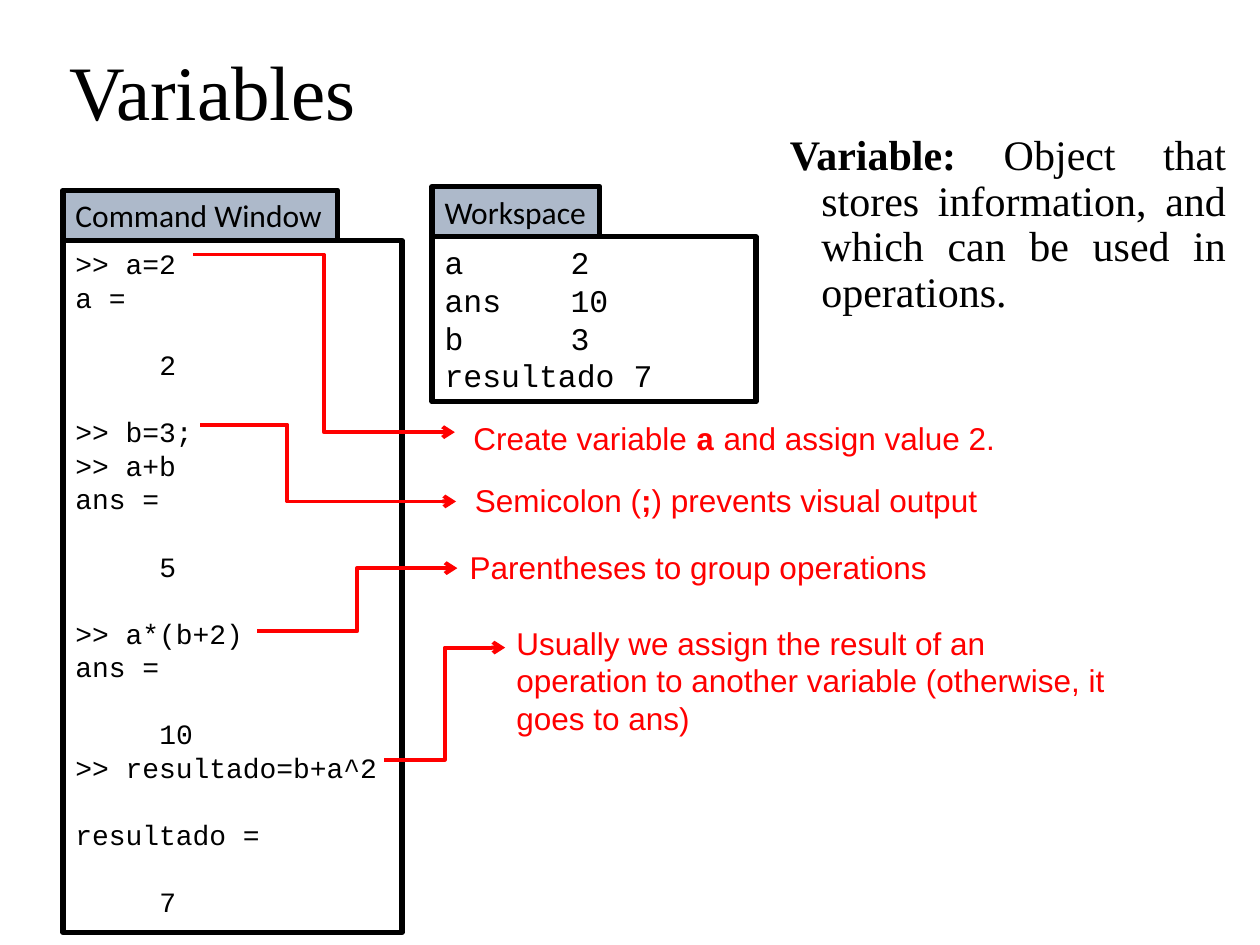
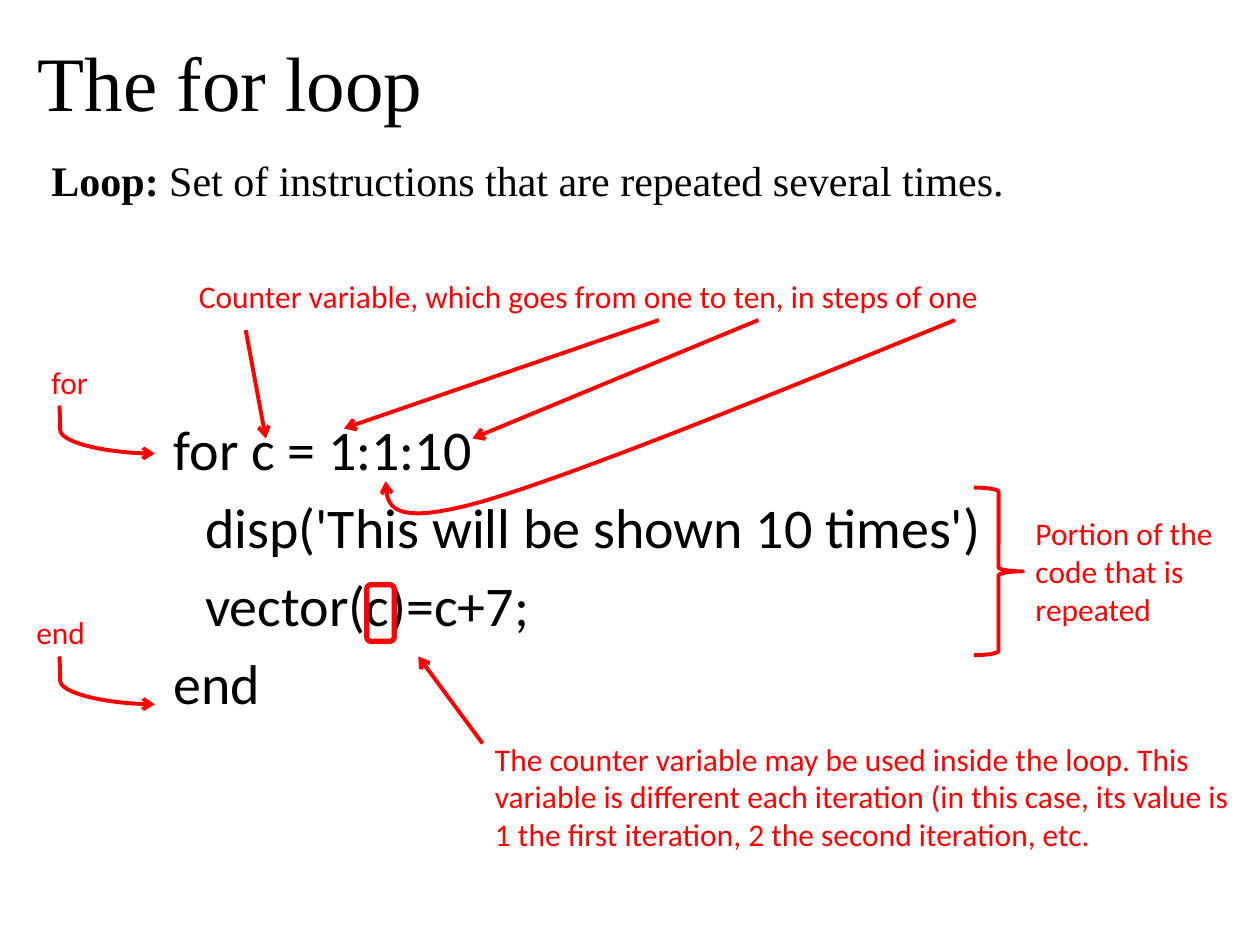
from dataclasses import dataclass
from typing import NamedTuple, Optional

from lxml import etree
from pptx import Presentation
from pptx import util as u
from pptx.dml.color import RGBColor
from pptx.enum import shapes, text
from pptx.oxml import ns

BLACK = RGBColor(0, 0, 0)
RED = RGBColor(255, 0, 0)
TAB_BLUE = RGBColor(0xAD, 0xB9, 0xCA)
SERIF, SANS, PLAIN, MONO = "Times New Roman", "Calibri", "Arial", "Courier New"
LEADING = 1.2
MONO_ADVANCE = 0.6
TAB_STEP = 0.5


class Box(NamedTuple):
    left: float
    top: float
    width: float
    height: float

    def lengths(self):
        return [u.Inches(value) for value in self]


class Span(NamedTuple):
    text: str
    bold: bool = False
    font: Optional[str] = None


@dataclass
class Line:
    """One paragraph: gap counts blank lines above it, columns its indent."""
    spans: list
    gap: int = 0
    columns: int = 0


@dataclass
class Style:
    font: str
    size: float
    color: RGBColor = BLACK
    spacing: object = None
    before: float = 0
    hanging: float = 0
    align: object = text.PP_ALIGN.LEFT
    anchor: object = text.MSO_ANCHOR.TOP
    tabs: int = 0


@dataclass
class Arrow:
    start: tuple
    end: tuple
    kind: object = shapes.MSO_CONNECTOR.STRAIGHT
    bend: Optional[float] = None


def leaded(font: str, size: float, **extra) -> Style:
    return Style(font, size, spacing=u.Pt(size * LEADING), **extra)


TITLE = Style(SERIF, 44, spacing=0.9, anchor=text.MSO_ANCHOR.MIDDLE)
DEFINITION = Style(SERIF, 24, spacing=0.9, before=10, hanging=0.25,
                   align=text.PP_ALIGN.JUSTIFY)
HEADLINE = Style(SERIF, 24)
CODE = Style(SANS, 32, spacing=0.9, before=10, hanging=0.25)
CONSOLE = leaded(MONO, 16)
LISTING = leaded(MONO, 18, tabs=3)
PANEL_TAB = Style(SANS, 18)
COMMENT = leaded(PLAIN, 18, color=RED)
CALLOUT = Style(SANS, 18, RED)


def assign(target, values: dict) -> None:
    for name, value in values.items():
        setattr(target, name, value)


def line(content: str, gap: int = 0, columns: int = 0) -> Line:
    return Line([Span(content)], gap, columns)


def fill_text(shape, lines: list, style: Style, wrap: bool) -> None:
    frame = shape.text_frame
    fit = text.MSO_AUTO_SIZE.NONE if wrap else text.MSO_AUTO_SIZE.SHAPE_TO_FIT_TEXT
    assign(frame, {"word_wrap": wrap, "auto_size": fit,
                   "vertical_anchor": style.anchor})
    for index, item in enumerate(lines):
        para = frame.paragraphs[0] if index == 0 else frame.add_paragraph()
        before = style.before + item.gap * style.size * LEADING
        assign(para, {"alignment": style.align, "space_before": u.Pt(before),
                      "line_spacing": style.spacing})
        properties = para._p.get_or_add_pPr()
        indent = style.hanging + item.columns * MONO_ADVANCE * style.size / 72
        properties.set("marL", str(u.Inches(indent)))
        properties.set("indent", str(-u.Inches(style.hanging)))
        if style.tabs:
            stops = etree.SubElement(properties, ns.qn("a:tabLst"))
            for stop in range(1, style.tabs + 1):
                etree.SubElement(stops, ns.qn("a:tab"), algn="l",
                                 pos=str(u.Inches(stop * TAB_STEP)))
        for part in item.spans:
            span = para.add_run()
            span.text = part.text
            assign(span.font, {"name": part.font or style.font,
                               "size": u.Pt(style.size), "bold": part.bold})
            span.font.color.rgb = style.color


def add_text(page, box: Box, lines: list, style: Style, wrap: bool = True) -> None:
    fill_text(page.shapes.add_textbox(*box.lengths()), lines, style, wrap)


def draw_line(shape, color: RGBColor, width: float, arrow: bool = False) -> None:
    shape.line.color.rgb = color
    shape.line.width = u.Pt(width)
    if arrow:
        etree.SubElement(shape._element.spPr.get_or_add_ln(),
                         ns.qn("a:tailEnd"), type="arrow")


def add_outline(page, kind, box: Box, color: RGBColor, width: float, fill=None):
    shape = page.shapes.add_shape(kind, *box.lengths())
    shape.shadow.inherit = False
    if fill is None:
        shape.fill.background()
    else:
        shape.fill.solid()
        shape.fill.fore_color.rgb = fill
    draw_line(shape, color, width)
    return shape


def add_panel(page, name: str, tab: Box, body: Box, lines: list, style: Style) -> None:
    """A framed text panel with its name on a tab above it."""
    rectangle = shapes.MSO_SHAPE.RECTANGLE
    frame = add_outline(page, rectangle, body, BLACK, 3)
    fill_text(frame, lines, style, True)
    label = add_outline(page, rectangle, tab, BLACK, 3, TAB_BLUE)
    fill_text(label, [line(name)], PANEL_TAB, False)


def add_arrow(page, arrow: Arrow) -> None:
    ends = [u.Inches(value) for value in (*arrow.start, *arrow.end)]
    connector = page.shapes.add_connector(arrow.kind, *ends)
    draw_line(connector, RED, 2.25, arrow=True)
    properties = connector._element.spPr
    etree.SubElement(properties, ns.qn("a:effectLst"))
    if arrow.bend is not None:
        guides = properties.find(ns.qn("a:prstGeom")).get_or_add_avLst()
        etree.SubElement(guides, ns.qn("a:gd"), name="adj1",
                         fmla=f"val {round(arrow.bend * 100000)}")


def bezier(points: list, steps: int = 16) -> list:
    """Points along a cubic curve, without its start."""
    curve = []
    for step in range(1, steps + 1):
        t = step / steps
        weights = ((1 - t) ** 3, 3 * t * (1 - t) ** 2, 3 * t * t * (1 - t), t ** 3)
        curve.append(tuple(sum(w * p[axis] for w, p in zip(weights, points))
                           for axis in (0, 1)))
    return curve


def add_curve(page, points: list) -> None:
    """An arrow along joined cubic curves, four points to a curve."""
    track = points[:1] + [point for first in range(0, len(points) - 1, 3)
                          for point in bezier(points[first:first + 4])]
    start, *rest = [(u.Inches(x), u.Inches(y)) for x, y in track]
    builder = page.shapes.build_freeform(*start)
    builder.add_line_segments(rest, close=False)
    shape = builder.convert_to_shape()
    shape.shadow.inherit = False
    shape.fill.background()
    draw_line(shape, RED, 2.25, arrow=True)


def add_page(deck, title: str, left: float, top: float):
    page = deck.slides.add_slide(deck.slide_layouts[6])
    add_text(page, Box(left, top, 8.62, 1.01), [line(title)], TITLE)
    return page


def variables_page(deck) -> None:
    page = add_page(deck, "Variables", 0.45, 0.25)
    add_text(page, Box(6.17, 1.02, 3.66, 1.64), [Line([
        Span("Variable: ", True),
        Span("Object that stores information, and which can be used in operations."),
    ])], DEFINITION)

    # Panels
    session = [
        line(">> a=2"), line("a ="), line("2", 1, 5),
        line(">> b=3;", 1), line(">> a+b"), line("ans ="), line("5", 1, 5),
        line(">> a*(b+2)", 1), line("ans ="), line("10", 1, 5),
        line(">> resultado=b+a^2"), line("resultado =", 1), line("7", 1, 5),
    ]
    add_panel(page, "Command Window", Box(0.5, 1.51, 2.18, 0.4),
              Box(0.5, 1.91, 2.69, 5.49), session, CONSOLE)
    values = [line(row) for row in ("a\t\t2", "ans\t\t10", "b\t\t3", "resultado\t7")]
    add_panel(page, "Workspace", Box(3.43, 1.48, 1.33, 0.4),
              Box(3.43, 1.88, 2.57, 1.31), values, LISTING)

    # Comments on the session
    comments = [
        (Box(3.66, 3.28, 4.37, 0.4), [Span("Create variable "), Span("a", True, MONO),
                                      Span(" and assign value 2.")]),
        (Box(3.67, 3.77, 4.21, 0.4), [Span("Semicolon ("), Span(";", True),
                                      Span(") prevents visual output")]),
        (Box(3.63, 4.3, 3.86, 0.4), [Span("Parentheses to group operations")]),
    ]
    for box, spans in comments:
        add_text(page, box, [Line(spans)], COMMENT, wrap=False)
    add_text(page, Box(4, 4.9, 5, 1.01), [line(
        "Usually we assign the result of an operation to another variable "
        "(otherwise, it goes to ans)")], COMMENT)
    for start, end, bend in (
        ((1.53, 2.02), (3.61, 3.43), 0.5),
        ((1.59, 3.37), (3.62, 3.98), 0.34),
        ((2.04, 5.01), (3.63, 4.51), 0.5),
        ((3.05, 6.03), (4.01, 5.14), 0.5),
    ):
        add_arrow(page, Arrow(start, end, shapes.MSO_CONNECTOR.ELBOW, bend))


def loop_page(deck) -> None:
    page = add_page(deck, "The for loop", 0.2, 0.18)
    add_text(page, Box(0.31, 1.18, 7.83, 0.5), [Line([
        Span("Loop:", True),
        Span(" Set of instructions that are repeated several times."),
    ])], HEADLINE, wrap=False)

    # Code
    add_text(page, Box(1.28, 3.3, 7.55, 2.61), [line(row) for row in (
        "for c = 1:1:10", "\tdisp('This will be shown 10 times')",
        "\tvector(c)=c+7;", "end")], CODE)

    # Keywords that open and close the loop
    for word, box, top in (("for", Box(0.31, 2.83, 0.49, 0.4), 3.22),
                           ("end", Box(0.19, 4.82, 0.6, 0.4), 5.21)):
        add_text(page, box, [line(word)], CALLOUT, wrap=False)
        add_arrow(page, Arrow((0.47, top), (1.23, top + 0.38),
                              shapes.MSO_CONNECTOR.CURVE, 0.01))

    # Counter and its range
    add_text(page, Box(1.48, 2.15, 6.47, 0.4), [line(
        "Counter variable, which goes from one to ten, in steps of one")],
        CALLOUT, wrap=False)
    for start, end in (
        ((1.95, 2.62), (2.11, 3.48)),
        ((5.23, 2.54), (2.73, 3.4)),
        ((6.02, 2.54), (3.75, 3.48)),
        ((3.83, 5.9), (3.32, 5.21)),
    ):
        add_arrow(page, Arrow(start, end))
    add_curve(page, [(7.58, 2.54), (6.08, 3.15), (4.58, 3.76), (3.83, 3.98),
                     (3.08, 4.19), (3.07, 4.01), (3.06, 3.82)])

    # Repeated part and use of the counter
    add_outline(page, shapes.MSO_SHAPE.RIGHT_BRACE, Box(7.73, 3.87, 0.39, 1.33), RED, 2.25)
    add_outline(page, shapes.MSO_SHAPE.ROUNDED_RECTANGLE,
                Box(2.91, 4.64, 0.22, 0.45), RED, 3)
    add_text(page, Box(8.12, 4.03, 1.8, 1.01),
             [line("Portion of the code that is repeated")], CALLOUT)
    add_text(page, Box(3.83, 5.82, 6.17, 1.01), [line(
        "The counter variable may be used inside the loop. This variable is "
        "different each iteration (in this case, its value is 1 the first "
        "iteration, 2 the second iteration, etc.")], CALLOUT)


deck = Presentation()
assign(deck, {"slide_width": u.Inches(10), "slide_height": u.Inches(7.5)})
variables_page(deck)
loop_page(deck)
deck.save("out.pptx")
